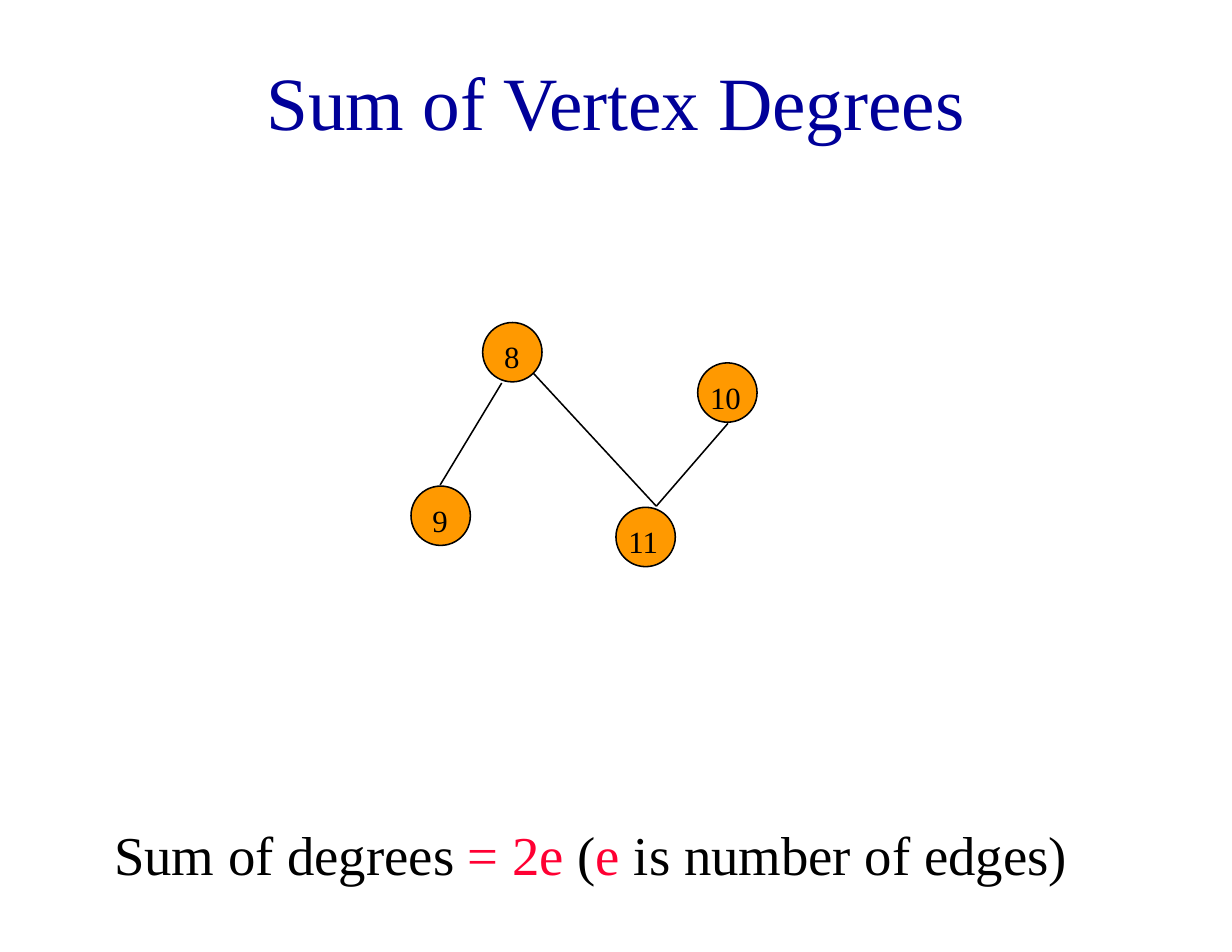
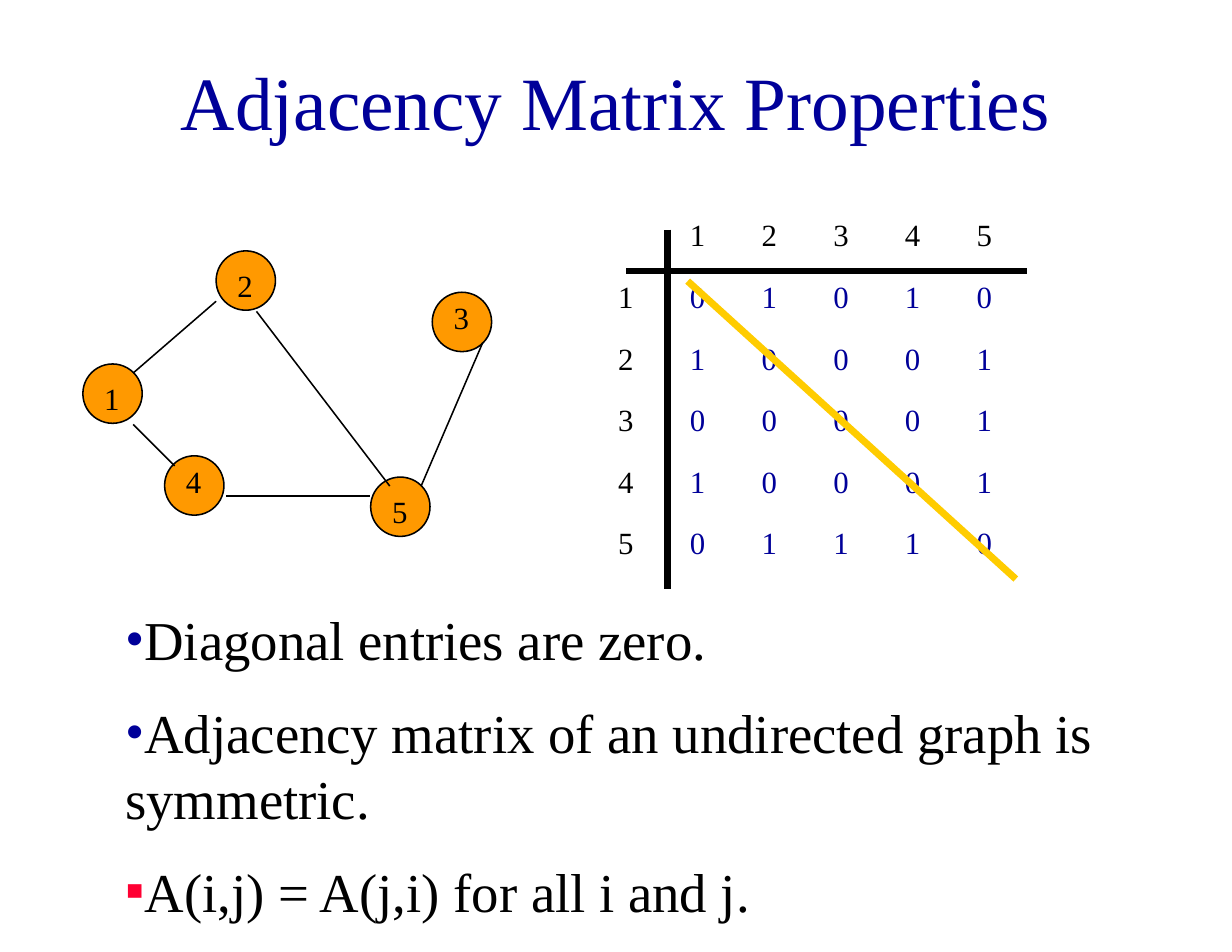
from lxml import etree
from pptx import Presentation
from pptx.dml.color import RGBColor
from pptx.enum.shapes import MSO_CONNECTOR, MSO_SHAPE
from pptx.enum.text import MSO_ANCHOR, PP_ALIGN
from pptx.oxml.ns import qn
from pptx.util import Inches, Pt

FONT = "Times New Roman"
BLACK, NAVY, RED = "000000", "000099", "FF0033"
ORANGE, YELLOW = "FF9900", "FFCC00"
LABEL_SIZE, BODY_SIZE, TITLE_SIZE = 19.8, 35.2, 48.4
NODE_SIZE = 0.53
COLUMN_STEP, ROW_STEP = 0.64, 0.55


def rgb(color):
    return RGBColor.from_string(color)


def add_bullet(paragraph, character, color):
    properties = paragraph._p.get_or_add_pPr()
    properties.set("marL", "0")
    properties.set("indent", "0")
    bullet_color = etree.SubElement(properties, qn("a:buClr"))
    etree.SubElement(bullet_color, qn("a:srgbClr")).set("val", color)
    etree.SubElement(properties, qn("a:buFont")).set("typeface", FONT)
    etree.SubElement(properties, qn("a:buChar")).set("char", character)


def add_text(shapes, box, paragraphs, size=LABEL_SIZE, color=BLACK, bullets=(),
             align=PP_ALIGN.LEFT, anchor=MSO_ANCHOR.TOP, inset=(0.11, 0.06), gap=0):
    """Write paragraphs, each a string or a list of (text, color) runs."""
    frame = shapes.add_textbox(*map(Inches, box)).text_frame
    frame.word_wrap = True
    frame.vertical_anchor = anchor
    frame.margin_left = frame.margin_right = Inches(inset[0])
    frame.margin_top = frame.margin_bottom = Inches(inset[1])
    for index, content in enumerate(paragraphs):
        paragraph = frame.add_paragraph() if index else frame.paragraphs[0]
        paragraph.alignment = align
        if index:
            paragraph.space_before = Pt(gap)
        if bullets:
            add_bullet(paragraph, *bullets[index])
        runs = [(content, color)] if isinstance(content, str) else content
        for text, run_color in runs:
            run = paragraph.add_run()
            run.text = text
            run.font.name = FONT
            run.font.size = Pt(size)
            run.font.color.rgb = rgb(run_color)
    return frame


def add_line(shapes, start, end, color=BLACK, width=1):
    line = shapes.add_connector(MSO_CONNECTOR.STRAIGHT, *map(Inches, (*start, *end)))
    line.line.color.rgb = rgb(color)
    line.line.width = Pt(width)
    etree.SubElement(line._element.spPr, qn("a:effectLst"))


def add_node(shapes, left, top):
    node = shapes.add_shape(MSO_SHAPE.OVAL, *map(Inches, (left, top, NODE_SIZE, NODE_SIZE)))
    node.shadow.inherit = False
    node.fill.solid()
    node.fill.fore_color.rgb = rgb(ORANGE)
    node.line.color.rgb = rgb(BLACK)
    node.line.width = Pt(1)


def add_graph(slide, left, top, nodes, edges):
    """Draw nodes (label, x, y, label drop) and edges (start, end) from the box corner."""
    shapes = slide.shapes.add_group_shape().shapes
    for _, x, y, _ in nodes:
        add_node(shapes, left + x, top + y)
    for (x1, y1), (x2, y2) in edges:
        add_line(shapes, (left + x1, top + y1), (left + x2, top + y2))
    for label, x, y, drop in nodes:
        indent, width = (0.08, 0.28) if len(label) == 1 else (0, 0.55)
        add_text(shapes, (left + x + indent, top + y + drop, width, 0.44), [label])


def add_matrix(slide, left, top, rows):
    shapes = slide.shapes.add_group_shape().shapes

    def add_cell(row, column, text, color=BLACK):
        box = (left + column * COLUMN_STEP, top + row * ROW_STEP, 0.55, 0.44)
        add_text(shapes, box, [text], color=color)

    for number in range(1, len(rows) + 1):
        add_cell(0, number, str(number))
        add_cell(number, 0, str(number))
    add_line(shapes, (left + 0.18, top + 0.55), (left + 3.76, top + 0.55), width=4)
    add_line(shapes, (left + 0.55, top + 0.18), (left + 0.55, top + 3.39), width=4)
    for row, entries in enumerate(rows, 1):
        for column, entry in enumerate(entries, 1):
            add_cell(row, column, entry, NAVY)
    add_line(shapes, (left + 0.73, top + 0.64), (left + 3.66, top + 3.3), YELLOW, 4.5)


def add_titled_slide(presentation, title):
    slide = presentation.slides.add_slide(presentation.slide_layouts[6])
    add_text(slide.shapes, (0.82, 0.19, 9.35, 1.42), [title], size=TITLE_SIZE, color=NAVY,
             align=PP_ALIGN.CENTER, anchor=MSO_ANCHOR.MIDDLE, inset=(0.1, 0.05))
    return slide


def build_degrees_slide(presentation):
    slide = add_titled_slide(presentation, "Sum of Vertex Degrees")
    formula = [("Sum of degrees ", BLACK), ("= 2e", RED), (" (", BLACK),
               ("e ", RED), ("is number of edges)", BLACK)]
    add_text(slide.shapes, (0.92, 7.28, 9.35, 0.73), [formula],
             size=BODY_SIZE, inset=(0.1, 0.05))
    nodes = [("8", 0.64, 0, 0.08), ("10", 2.56, 0.36, 0.08),
             ("9", 0, 1.46, 0.08), ("11", 1.83, 1.65, 0.08)]
    edges = [((0.81, 0.54), (0.26, 1.45)), ((1.09, 0.45), (2.19, 1.64)),
             ((2.19, 1.64), (2.83, 0.9))]
    add_graph(slide, 3.67, 2.88, nodes, edges)


def build_matrix_slide(presentation):
    slide = add_titled_slide(presentation, "Adjacency Matrix Properties")
    nodes = [("1", 0, 1.01, 0.08), ("2", 1.19, 0, 0.08), ("3", 3.12, 0.37, 0),
             ("4", 0.73, 1.83, 0), ("5", 2.57, 2.02, 0.08)]
    edges = [((1.19, 0.45), (0.45, 1.09)), ((1.55, 0.54), (2.74, 2.1)),
             ((0.45, 1.55), (0.82, 1.92)), ((3.57, 0.82), (3.02, 2.1)),
             ((1.28, 2.19), (2.56, 2.19))]
    add_graph(slide, 0.74, 2.24, nodes, edges)
    add_matrix(slide, 5.41, 1.87, ["01010", "10001", "00001", "10001", "01110"])
    properties = ["Diagonal entries are zero.",
                  "Adjacency matrix of an undirected graph is symmetric.",
                  "A(i,j) = A(j,i) for all i and j."]
    frame = add_text(slide.shapes, (1.01, 5.35, 9.72, 3.07), properties, size=BODY_SIZE,
                     bullets=[("•", NAVY), ("•", NAVY), ("▪", RED)], gap=BODY_SIZE / 2)
    frame.paragraphs[-1].level = 1


def main():
    presentation = Presentation()
    presentation.slide_width = Inches(11)
    presentation.slide_height = Inches(8.5)
    build_degrees_slide(presentation)
    build_matrix_slide(presentation)
    presentation.save("out.pptx")


if __name__ == "__main__":
    main()
